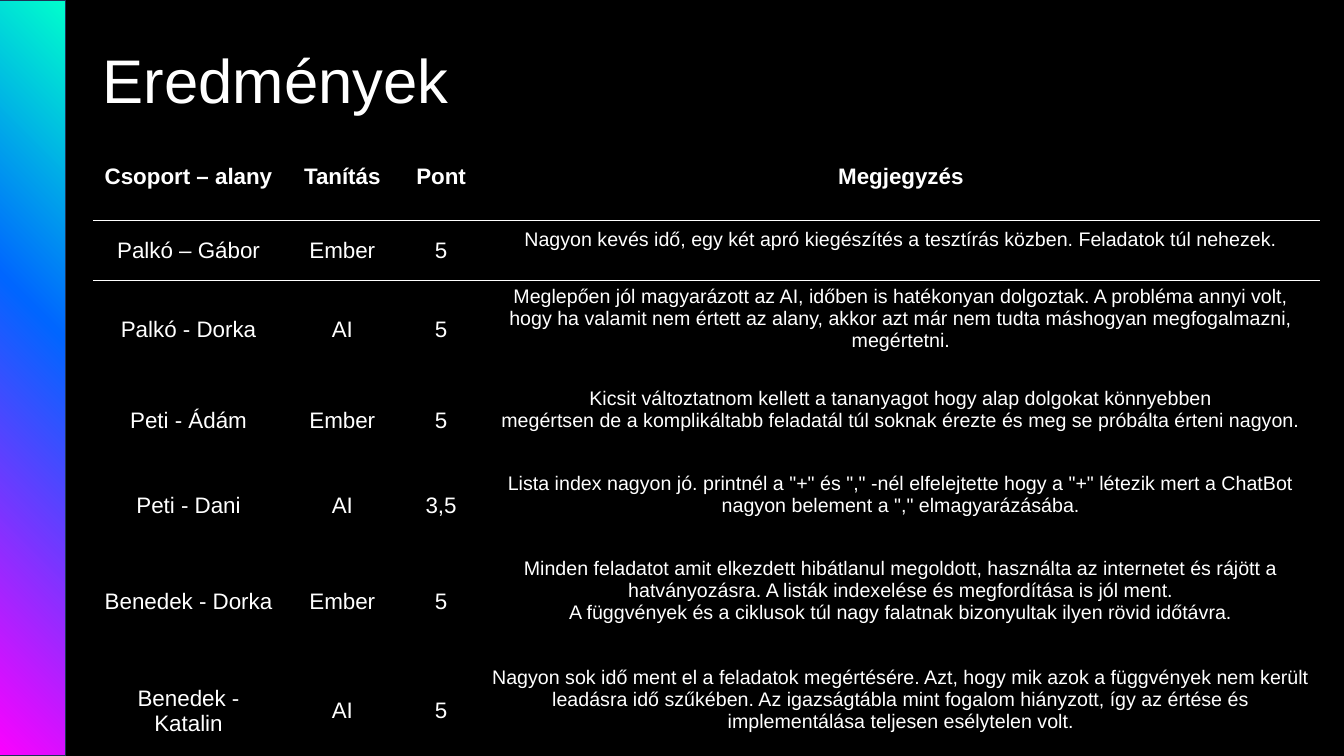
from dataclasses import dataclass
from lxml import etree
from pptx import Presentation
from pptx.dml.color import RGBColor
from pptx.enum.shapes import MSO_SHAPE
from pptx.enum.text import MSO_ANCHOR, PP_ALIGN
from pptx.oxml import parse_xml
from pptx.oxml.ns import qn
from pptx.util import Inches, Pt

RECT = MSO_SHAPE.RECTANGLE
MIDDLE = MSO_ANCHOR.MIDDLE
LEFT, CENTER = PP_ALIGN.LEFT, PP_ALIGN.CENTER
DRAW_NS = "http://schemas.openxmlformats.org/drawingml/2006/main"
PLAIN_STYLE = "{2D5ABB26-0587-4C30-8999-92F81FD0307C}"


@dataclass(frozen=True)
class Theme:
    font: str = "Arial"
    back: str = "000000"
    ink: str = "FFFFFF"
    edge: str = "1E3256"
    glow: tuple = ((0, "FF00FF"), (59, "0066FF"), (100, "00FFCC"))
    title: int = 44
    body: int = 16
    note: int = 14


THEME = Theme()
COLS = (1.9, 1.15, 0.81, 8.31)
ROWS = (0.88, 0.59, 0.84, 0.84, 0.84, 1.08, 1.08)
HEAD = ("Csoport – alany", "Tanítás", "Pont", "Megjegyzés")
RESULTS = (
    ("Palkó – Gábor", "Ember", "5",
     "Nagyon kevés idő, egy két apró kiegészítés a tesztírás közben. "
     "Feladatok túl nehezek."),
    ("Palkó - Dorka", "AI", "5",
     "Meglepően jól magyarázott az AI, időben is hatékonyan dolgoztak. "
     "A probléma annyi volt, hogy ha valamit nem értett az alany, akkor azt "
     "már nem tudta máshogyan megfogalmazni, megértetni."),
    ("Peti - Ádám", "Ember", "5",
     "Kicsit változtatnom kellett a tananyagot hogy alap dolgokat könnyebben\n"
     "megértsen de a komplikáltabb feladatál túl soknak érezte és meg se "
     "próbálta érteni nagyon."),
    ("Peti - Dani", "AI", "3,5",
     'Lista index nagyon jó. printnél a "+" és "," -nél elfelejtette hogy a '
     '"+" létezik mert a ChatBot nagyon belement a "," elmagyarázásába.'),
    ("Benedek - Dorka", "Ember", "5",
     "Minden feladatot amit elkezdett hibátlanul megoldott, használta az "
     "internetet és rájött a hatványozásra. A listák indexelése és "
     "megfordítása is jól ment.\n"
     "A függvények és a ciklusok túl nagy falatnak bizonyultak ilyen rövid "
     "időtávra."),
    ("Benedek - Katalin", "AI", "5",
     "Nagyon sok idő ment el a feladatok megértésére. Azt, hogy mik azok a "
     "függvények nem került leadásra idő szűkében. Az igazságtábla mint "
     "fogalom hiányzott, így az értése és implementálása teljesen esélytelen "
     "volt."),
)


def rgb(code):
    return RGBColor.from_string(code)


def style(para, size, align, bold=False):
    para.alignment = align
    para.font.name = THEME.font
    para.font.size = Pt(size)
    para.font.bold = bold
    para.font.color.rgb = rgb(THEME.ink)


def add_band(slide, x, y, w, h):
    """Side band whose glow spreads from the bottom left corner."""
    band = slide.shapes.add_shape(RECT, Inches(x), Inches(y), Inches(w), Inches(h))
    band.shadow.inherit = False
    band.line.color.rgb = rgb(THEME.edge)
    band.line.width = Pt(1)
    band.fill.gradient()
    stops = "".join(
        f'<a:gs pos="{at * 1000}"><a:srgbClr val="{code}"/></a:gs>'
        for at, code in THEME.glow)
    glow = parse_xml(
        f'<a:gradFill xmlns:a="{DRAW_NS}" rotWithShape="1">'
        f'<a:gsLst>{stops}</a:gsLst><a:path path="circle">'
        '<a:fillToRect t="100000" r="100000"/></a:path></a:gradFill>')
    props = band._element.spPr
    props.replace(props.find(qn("a:gradFill")), glow)


def add_title(slide, text, x, y, w, h):
    title = slide.shapes.title
    title.left, title.top = Inches(x), Inches(y)
    title.width, title.height = Inches(w), Inches(h)
    frame = title.text_frame
    frame.text = text
    frame.word_wrap = True
    frame.vertical_anchor = MIDDLE
    style(frame.paragraphs[0], THEME.title, LEFT)
    frame.paragraphs[0].line_spacing = 0.9


def add_rule(cell, side):
    """Border on one side of a cell: lnT or lnB."""
    line = etree.Element(qn(f"a:{side}"), w=str(Pt(1)))
    fill = etree.SubElement(line, qn("a:solidFill"))
    etree.SubElement(fill, qn("a:srgbClr"), val=THEME.ink)
    cell._tc.get_or_add_tcPr().insert(0, line)


def fill_cell(cell, text, head, note):
    cell.fill.background()
    cell.vertical_anchor = MIDDLE
    para = cell.text_frame.paragraphs[0]
    para.text = text
    small = note and not head
    style(para, THEME.note if small else THEME.body, CENTER, head)
    if small:
        cell.margin_bottom = Inches(0.27)


def add_results(slide, x, y):
    data = (HEAD,) + RESULTS
    frame = slide.shapes.add_table(
        len(ROWS), len(COLS), Inches(x), Inches(y),
        Inches(sum(COLS)), Inches(sum(ROWS)))
    table = frame.table
    table.first_row = table.horz_banding = False
    table._tbl.tblPr.find(qn("a:tableStyleId")).text = PLAIN_STYLE
    for col, width in zip(table.columns, COLS):
        col.width = Inches(width)
    for i, (row, height) in enumerate(zip(table.rows, ROWS)):
        row.height = Inches(height)
        for j, cell in enumerate(row.cells):
            fill_cell(cell, data[i][j], i == 0, j == len(COLS) - 1)
            if i < 2:
                add_rule(cell, ("lnB", "lnT")[i])


def main():
    deck = Presentation()
    deck.slide_width, deck.slide_height = Inches(13.33), Inches(7.5)
    slide = deck.slides.add_slide(deck.slide_layouts[5])
    slide.background.fill.solid()
    slide.background.fill.fore_color.rgb = rgb(THEME.back)
    add_band(slide, -0.07, 0, 0.72, 7.5)
    add_title(slide, "Eredmények", 0.92, 0.1, 11.5, 1.45)
    add_results(slide, 0.92, 1.31)
    deck.save("out.pptx")


if __name__ == "__main__":
    main()
